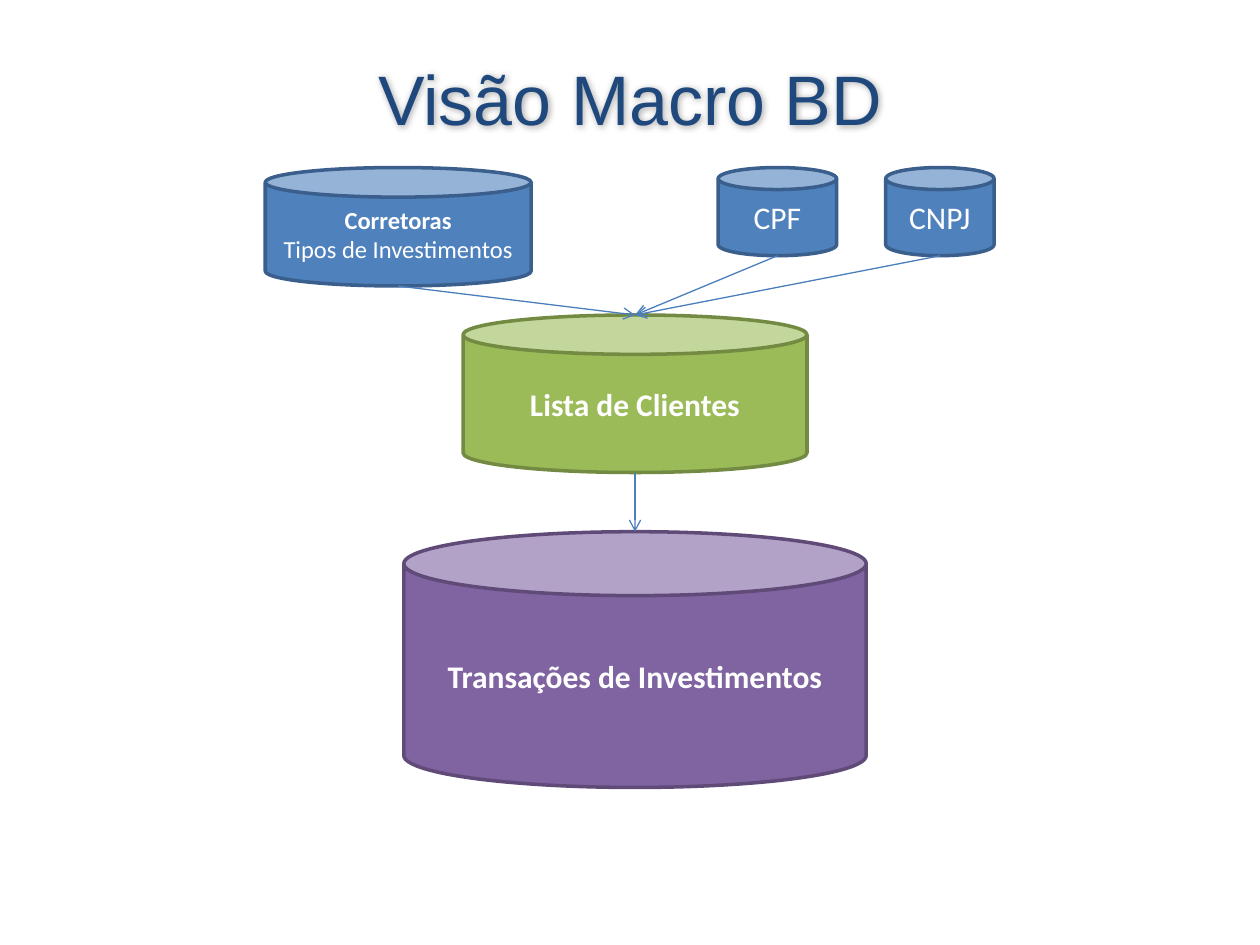
from lxml.etree import SubElement
from pptx import Presentation
from pptx.dml.color import RGBColor
from pptx.enum.shapes import MSO_CONNECTOR, MSO_SHAPE
from pptx.enum.text import MSO_ANCHOR, MSO_AUTO_SIZE, PP_ALIGN
from pptx.oxml.ns import qn
from pptx.util import Emu, Inches, Pt

THEME = {
    "blue": ("4F81BD", "3A5F8C"),  # fill, outline
    "green": ("9BBB59", "738A42"),
    "purple": ("8064A2", "5F4A78"),
    "title": "1F497D", "text": "FFFFFF", "arrow": "4B7EBC", "shadow": "000000",
    "title_font": "Arial", "body_font": "Calibri",
    "title_size": 40, "label_size": 18, "detail_size": 14,
    "outline": 2, "arrow_width": 0.75,
}

# Content: lines of (text, bold), palette, type size
TITLE = "Visão Macro BD"
DATABASES = {
    "cnpj": ([("CNPJ", False)], "blue", "label_size"),
    "cpf": ([("CPF", False)], "blue", "label_size"),
    "clients": ([("Lista de Clientes", True)], "green", "label_size"),
    "brokers": ([("Corretoras", True), ("Tipos de Investimentos", False)],
                "blue", "detail_size"),
    "transactions": ([("Transações de Investimentos", True)], "purple", "label_size"),
}
FLOWS = [("clients", "transactions"), ("brokers", "clients"),
         ("cpf", "clients"), ("cnpj", "clients")]

# Layout: row tops, then (centre, row, width, height) for each database
SLIDE_W, SLIDE_H = 10, 7.5
ROWS = (1.33, 2.5, 4.22)
AXIS = 5.04
PLACES = {
    "cnpj": (7.46, 0, 0.86, 0.7),
    "cpf": (6.17, 0, 0.94, 0.7),
    "clients": (AXIS, 1, 2.73, 1.25),
    "brokers": (3.16, 0, 2.11, 0.94),
    "transactions": (AXIS, 2, 3.67, 2.03),
}


def color(key):
    return RGBColor.from_string(THEME.get(key, key))


def add_run(paragraph, text, size, font, ink, bold=False):
    paragraph.alignment = PP_ALIGN.CENTER
    run = paragraph.add_run()
    run.text = text
    run.font.name, run.font.size, run.font.bold = THEME[font], Pt(THEME[size]), bold
    run.font.color.rgb = color(ink)


def add_database(slide, place, lines, palette, size):
    centre, row, width, height = place
    can = slide.shapes.add_shape(
        MSO_SHAPE.CAN, Inches(centre - width / 2), Inches(ROWS[row]),
        Inches(width), Inches(height))
    fill, outline = THEME[palette]
    can.shadow.inherit = False
    can.fill.solid()
    can.fill.fore_color.rgb = color(fill)
    can.line.color.rgb = color(outline)
    can.line.width = Pt(THEME["outline"])
    frame = can.text_frame
    frame.word_wrap = True
    frame.vertical_anchor = MSO_ANCHOR.MIDDLE
    for i, (text, bold) in enumerate(lines):
        paragraph = frame.add_paragraph() if i else frame.paragraphs[0]
        add_run(paragraph, text, size, "body_font", "text", bold)
    return can


def add_flow(slide, source, target):
    """Arrow from the bottom of one database to the top of the next."""
    arrow = slide.shapes.add_connector(
        MSO_CONNECTOR.STRAIGHT,
        Emu(source.left + source.width // 2), Emu(source.top + source.height),
        Emu(target.left + target.width // 2), target.top)
    arrow.line.color.rgb = color("arrow")
    arrow.line.width = Pt(THEME["arrow_width"])
    SubElement(arrow.line._get_or_add_ln(), qn("a:tailEnd"), type="arrow")
    SubElement(arrow._element.spPr, qn("a:effectLst"))


def add_title(slide):
    title = slide.shapes.add_textbox(0, Inches(0.39), Inches(SLIDE_W), Inches(0.77))
    frame = title.text_frame
    frame.word_wrap = True
    frame.auto_size = MSO_AUTO_SIZE.SHAPE_TO_FIT_TEXT
    add_run(frame.paragraphs[0], TITLE, "title_size", "title_font", "title")
    # Soft halo behind the letters
    effects = SubElement(title._element.spPr, qn("a:effectLst"))
    halo = SubElement(effects, qn("a:outerShdw"), blurRad=str(Pt(4)), dist="0",
                      dir="0", algn="tl", rotWithShape="0")
    ink = SubElement(halo, qn("a:srgbClr"), val=THEME["shadow"])
    SubElement(ink, qn("a:alpha"), val="35000")


def main():
    deck = Presentation()
    deck.slide_width, deck.slide_height = Inches(SLIDE_W), Inches(SLIDE_H)
    slide = deck.slides.add_slide(deck.slide_layouts[6])
    cans = {key: add_database(slide, PLACES[key], *content)
            for key, content in DATABASES.items()}
    add_title(slide)
    for source, target in FLOWS:
        add_flow(slide, cans[source], cans[target])
    deck.save("out.pptx")


if __name__ == "__main__":
    main()
